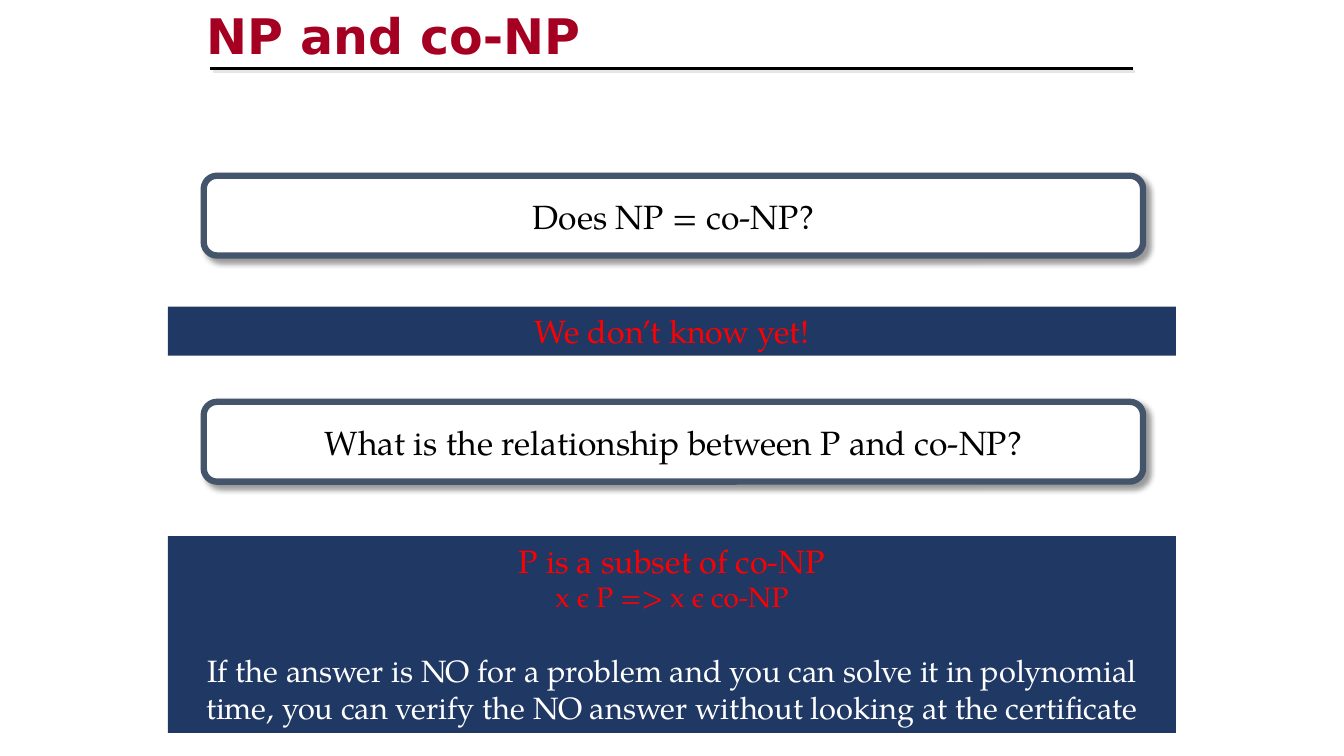
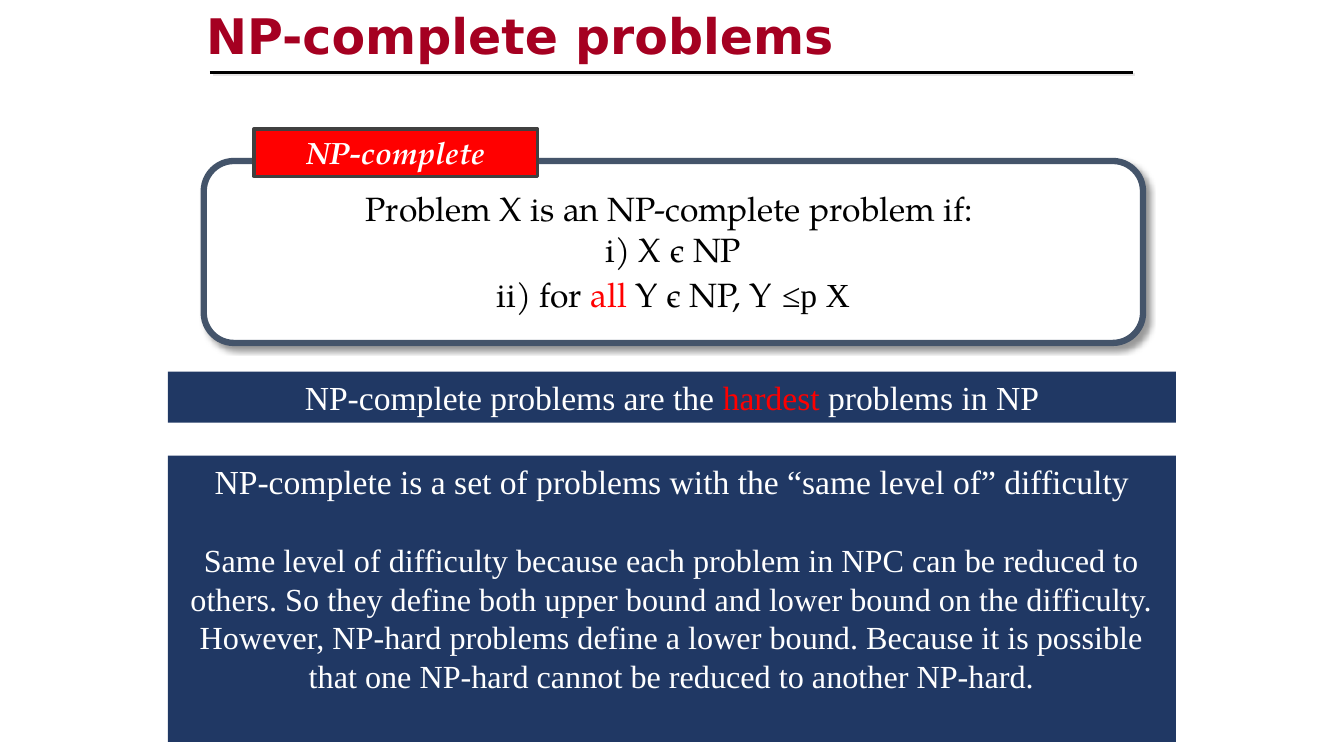
from lxml import etree
from pptx import Presentation
from pptx.dml.color import RGBColor
from pptx.enum import shapes, text
from pptx.oxml import ns
from pptx.util import Pt

CRIMSON = RGBColor(0xA5, 0x00, 0x21)
RED = RGBColor(0xFF, 0x00, 0x00)
NAVY = RGBColor(0x20, 0x38, 0x64)
SLATE = RGBColor(0x44, 0x54, 0x6A)
CHARCOAL = RGBColor(0x40, 0x40, 0x40)
SILVER = RGBColor(0xE7, 0xE6, 0xE6)
BLACK = RGBColor(0x00, 0x00, 0x00)
WHITE = RGBColor(0xFF, 0xFF, 0xFF)

TITLE_FONT = "DejaVu Sans"
PAGELLA = "TeX Gyre Pagella"
TIMES = "Times New Roman"

ROUNDED = shapes.MSO_SHAPE.ROUNDED_RECTANGLE
RECTANGLE = shapes.MSO_SHAPE.RECTANGLE
STYLES = {
    "question": (ROUNDED, 145.5, 671, WHITE, SLATE, 4.5),
    "band": (RECTANGLE, 120, 720, NAVY, None, 0),
    "tag": (RECTANGLE, 181.5, 202.5, RED, CHARCOAL, 2.5),
}

PAGES = [
    ("NP and co-NP", 49, [
        ("question", 125.5, 57, [
            (0, None, [("Does NP = co-NP?", 24, PAGELLA, BLACK)])]),
        ("band", 219, 35, [
            (0, None, [("We don’t know yet!", 23, PAGELLA, RED)])]),
        ("question", 287, 57, [
            (0, None, [("What is the relationship between P and co-NP?", 24, PAGELLA, BLACK)])]),
        ("band", 383, 140.5, [
            (0, None, [("P is a subset of co-NP", 23, PAGELLA, RED)]),
            (0, None, [("x є P => x є co-NP", 20, PAGELLA, RED)]),
            (27.6, None, [("If the answer is NO for a problem and you can solve it in polynomial "
                           "time, you can verify the NO answer without looking at the certificate",
                           22, PAGELLA, WHITE)])]),
    ]),
    ("NP-complete problems", 51.5, [
        ("question", 115, 130, [
            (0, None, [("Problem X is an NP-complete problem if: ", 24, PAGELLA, BLACK)]),
            (0, None, [("i) X є NP", 24, PAGELLA, BLACK)]),
            (0, None, [("ii) for ", 24, PAGELLA, BLACK),
                       ("all", 24, PAGELLA, RED),
                       (" Y є NP, Y", 24, PAGELLA, BLACK),
                       (" ", 28, PAGELLA, BLACK),
                       ("≤p X", 24, TIMES, BLACK)])]),
        ("tag", 92, 34, [
            (0, None, [("NP-complete", 22, PAGELLA, WHITE)])]),
        ("band", 265.5, 36.5, [
            (0, None, [("NP-complete problems are the ", 24, TIMES, WHITE),
                       ("hardest", 24, TIMES, RED),
                       (" problems in NP", 24, TIMES, WHITE)])]),
        ("band", 325.5, 204.5, [
            (0, None, [("NP-complete is a set of problems with the “same level of” difficulty",
                        24, TIMES, WHITE)]),
            (28, 27.6, [("Same level of difficulty because each problem in NPC can be reduced to "
                         "others. So they define both upper bound and lower bound on the difficulty. "
                         "However, NP-hard problems define a lower bound. Because it is possible "
                         "that one NP-hard cannot be reduced to another NP-hard.",
                         23, TIMES, WHITE)])]),
    ]),
]


def make_shadow(color, opacity, blur, distance):
    effects = etree.Element(ns.qn("a:effectLst"))
    shadow = etree.SubElement(effects, ns.qn("a:outerShdw"), blurRad=str(Pt(blur)),
                              dist=str(Pt(distance)), dir="2700000", algn="tl", rotWithShape="0")
    tint = etree.SubElement(shadow, ns.qn("a:srgbClr"), val=str(color))
    etree.SubElement(tint, ns.qn("a:alpha"), val=str(opacity * 1000))
    return effects


def add_span(para, wording, size, font, color):
    span = para.add_run()
    span.text = wording
    span.font.size = Pt(size)
    span.font.name = font
    span.font.color.rgb = color
    return span


deck = Presentation()
deck.slide_width = Pt(960)
deck.slide_height = Pt(540)

for heading, rule_top, boxes in PAGES:
    page = deck.slides.add_slide(deck.slide_layouts[5])

    title = page.shapes.title
    title.left, title.top, title.width, title.height = Pt(140), Pt(1), Pt(612), Pt(48)
    title.text_frame.auto_size = text.MSO_AUTO_SIZE.NONE
    title.text_frame.vertical_anchor = text.MSO_ANCHOR.MIDDLE
    para = title.text_frame.paragraphs[0]
    para.alignment = text.PP_ALIGN.LEFT
    span = add_span(para, heading, 35, TITLE_FONT, CRIMSON)
    span.font.bold = True
    fill = span.font._element.find(ns.qn("a:solidFill"))
    fill.addnext(make_shadow(SILVER, 100, 0, 2.8))

    rule = page.shapes.add_connector(shapes.MSO_CONNECTOR.STRAIGHT,
                                     Pt(150), Pt(rule_top), Pt(809), Pt(rule_top))
    rule.line.color.rgb = BLACK
    rule.line.width = Pt(2.25)
    rule.element.spPr.append(make_shadow(SILVER, 100, 0, 2.8))

    for style, top, height, paragraphs in boxes:
        outline, left, width, fill_color, line_color, line_width = STYLES[style]
        box = page.shapes.add_shape(outline, Pt(left), Pt(top), Pt(width), Pt(height))
        box.fill.solid()
        box.fill.fore_color.rgb = fill_color
        if line_color is None:
            box.line.fill.background()
        else:
            box.line.color.rgb = line_color
            box.line.width = Pt(line_width)
        if style == "question":
            box.element.spPr.append(make_shadow(BLACK, 40, 4, 4))
        else:
            box.shadow.inherit = False

        frame = box.text_frame
        frame.word_wrap = style != "question"
        frame.vertical_anchor = (text.MSO_ANCHOR.MIDDLE if style == "question"
                                 else text.MSO_ANCHOR.TOP)
        for index, (gap, spacing, spans) in enumerate(paragraphs):
            para = frame.add_paragraph() if index else frame.paragraphs[0]
            para.alignment = text.PP_ALIGN.CENTER
            if gap:
                para.space_before = Pt(gap)
            if spacing:
                para.line_spacing = Pt(spacing)
            for wording, size, font, color in spans:
                span = add_span(para, wording, size, font, color)
                if style == "tag":
                    span.font.bold = True
                    span.font.italic = True

deck.save("out.pptx")
